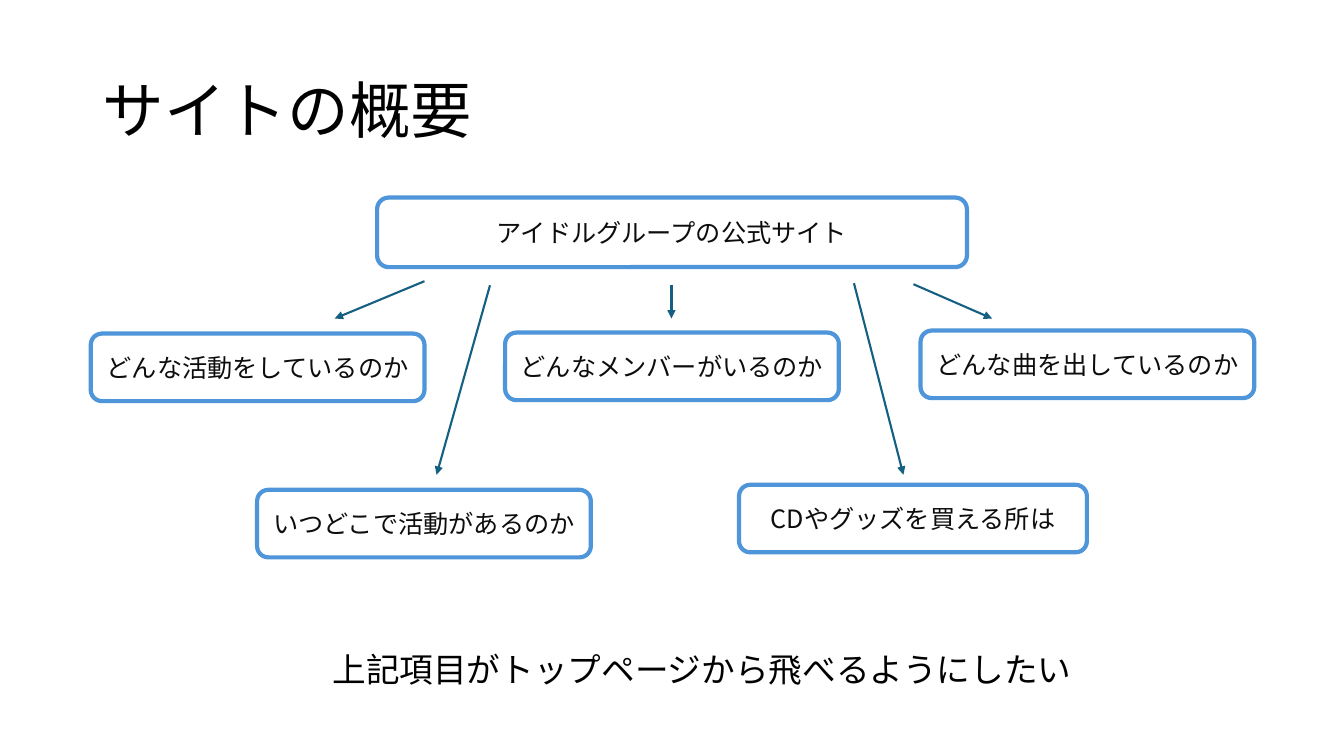
from dataclasses import dataclass

import lxml.etree
import pptx
import pptx.dml.color
import pptx.enum.shapes
import pptx.enum.text
import pptx.oxml.ns
import pptx.util

Inches = pptx.util.Inches
qn = pptx.oxml.ns.qn


@dataclass(frozen=True)
class Theme:
    font: str = "Noto Sans CJK JP"
    text: str = "000000"
    box_text: str = "0D0D0D"
    box_line: str = "4E95D9"
    arrow: str = "156082"
    title_size: int = 44
    note_size: int = 24
    box_size: int = 18
    box_width: float = 3
    arrow_width: float = 1.5


THEME = Theme()

# Boxes of the diagram: text, then left, top, width, height
TOPICS = [
    ("アイドルグループの公式サイト", (3.74, 1.96, 5.85, 0.69)),
    ("どんな活動をしているのか", (0.9, 3.31, 3.31, 0.67)),
    ("どんなメンバーがいるのか", (5.01, 3.3, 3.31, 0.67)),
    ("どんな曲を出しているのか", (9.13, 3.28, 3.31, 0.67)),
    ("いつどこで活動があるのか", (2.55, 4.86, 3.31, 0.67)),
    ("CDやグッズを買える所は", (7.33, 4.81, 3.45, 0.67)),
]

# Arrows from the site to its topics: start x, y, end x, y
ARROWS = [
    (4.21, 2.79, 3.32, 3.16),
    (9.06, 2.82, 9.84, 3.16),
    (6.66, 2.83, 6.66, 3.16),
    (4.86, 2.83, 4.33, 4.71),
    (8.47, 2.81, 8.96, 4.71),
]


def rgb(value):
    return pptx.dml.color.RGBColor.from_string(value)


def write(shape, text, size, color, anchor, alignment):
    """Put one styled paragraph into a shape."""
    frame = shape.text_frame
    frame.word_wrap = True
    frame.vertical_anchor = anchor
    frame.text = text
    paragraph = frame.paragraphs[0]
    paragraph.alignment = alignment
    font = paragraph.runs[0].font
    font.size = pptx.util.Pt(size)
    font.name = THEME.font
    font.color.rgb = rgb(color)
    # Japanese characters take the East Asian typeface
    properties = paragraph.runs[0]._r.get_or_add_rPr()
    lxml.etree.SubElement(properties, qn("a:ea")).set("typeface", THEME.font)
    return paragraph


def add_text(slide, box, text, size, anchor):
    shape = slide.shapes.add_textbox(*map(Inches, box))
    return write(shape, text, size, THEME.text, anchor,
                 pptx.enum.text.PP_ALIGN.LEFT)


def add_topic(slide, box, text):
    shape = slide.shapes.add_shape(
        pptx.enum.shapes.MSO_SHAPE.ROUNDED_RECTANGLE, *map(Inches, box))
    shape.shadow.inherit = False
    shape.fill.background()
    shape.line.color.rgb = rgb(THEME.box_line)
    shape.line.width = pptx.util.Pt(THEME.box_width)
    write(shape, text, THEME.box_size, THEME.box_text,
          pptx.enum.text.MSO_ANCHOR.MIDDLE, pptx.enum.text.PP_ALIGN.CENTER)


def add_arrow(slide, ends):
    connector = slide.shapes.add_connector(
        pptx.enum.shapes.MSO_CONNECTOR.STRAIGHT, *map(Inches, ends))
    connector.line.color.rgb = rgb(THEME.arrow)
    connector.line.width = pptx.util.Pt(THEME.arrow_width)
    line = connector.line._get_or_add_ln()
    lxml.etree.SubElement(line, qn("a:tailEnd")).set("type", "triangle")
    lxml.etree.SubElement(connector._element.spPr, qn("a:effectLst"))


def add_diagram(slide, left, top):
    """Draw the site, its topics and the arrows, offset by left and top."""
    for text, (x, y, width, height) in TOPICS:
        add_topic(slide, (left + x, top + y, width, height), text)
    for x1, y1, x2, y2 in ARROWS:
        add_arrow(slide, (left + x1, top + y1, left + x2, top + y2))


def main():
    presentation = pptx.Presentation()
    presentation.slide_width = Inches(13.33)
    presentation.slide_height = Inches(7.5)
    slide = presentation.slides.add_slide(presentation.slide_layouts[6])

    # Title
    title = add_text(slide, (0.92, 0.4, 11.5, 1.45), "サイトの概要",
                     THEME.title_size, pptx.enum.text.MSO_ANCHOR.MIDDLE)
    title.line_spacing = 0.9

    # Diagram
    add_diagram(slide, 0, 0)

    # Closing note
    add_text(slide, (3.2, 6.39, 7.58, 0.5),
             "上記項目がトップページから飛べるようにしたい",
             THEME.note_size, pptx.enum.text.MSO_ANCHOR.TOP)

    presentation.save("out.pptx")


if __name__ == "__main__":
    main()
